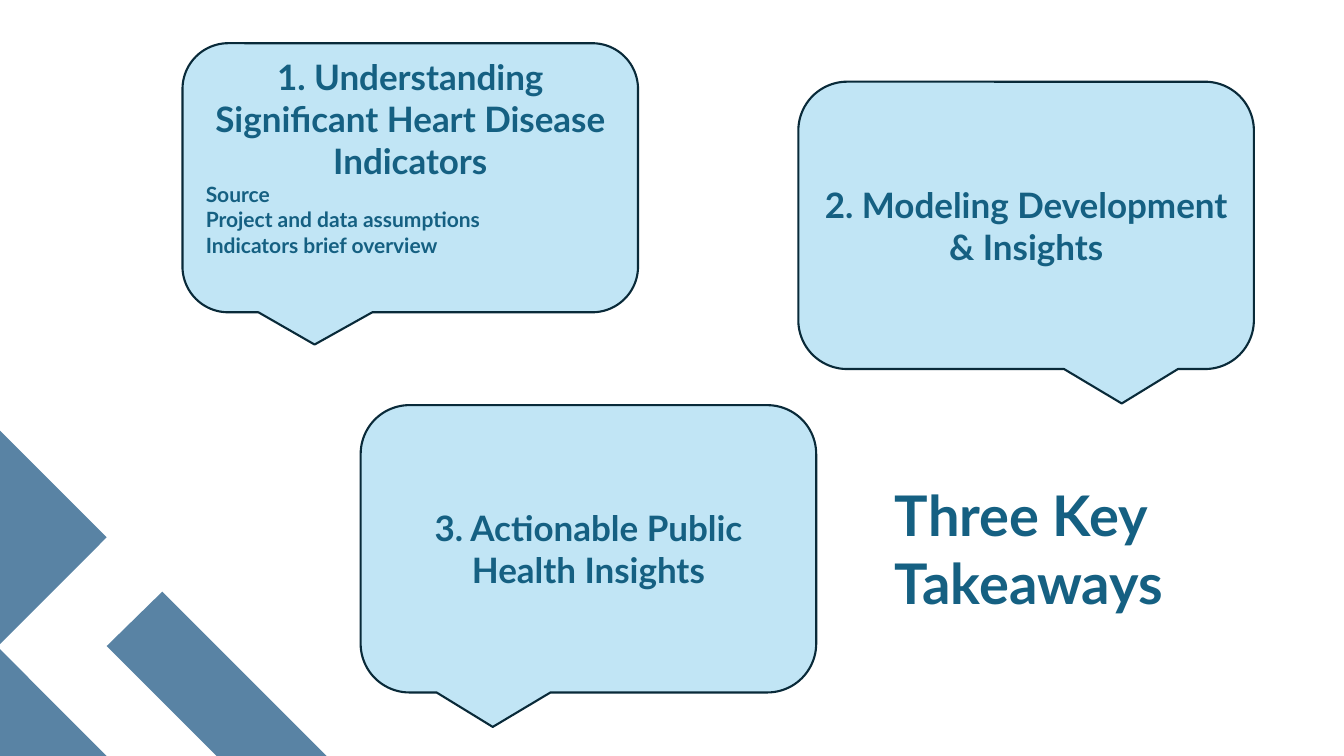
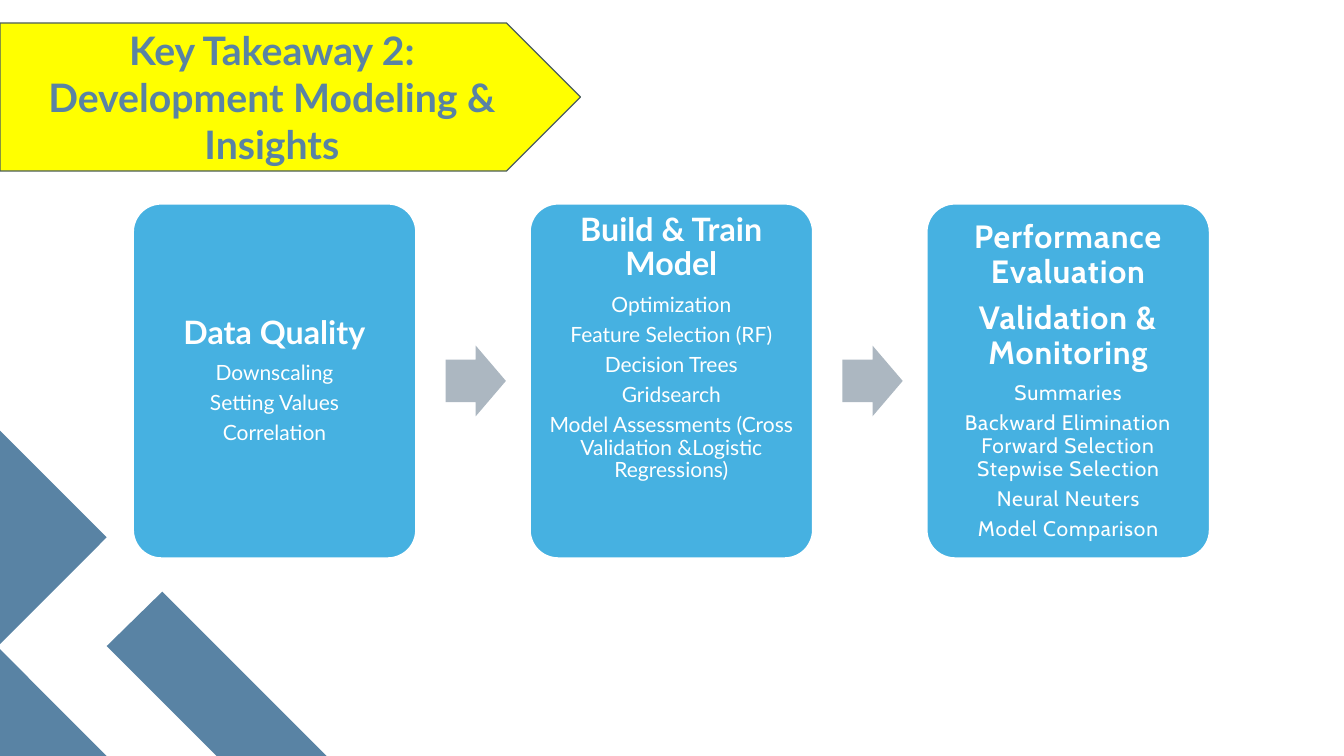
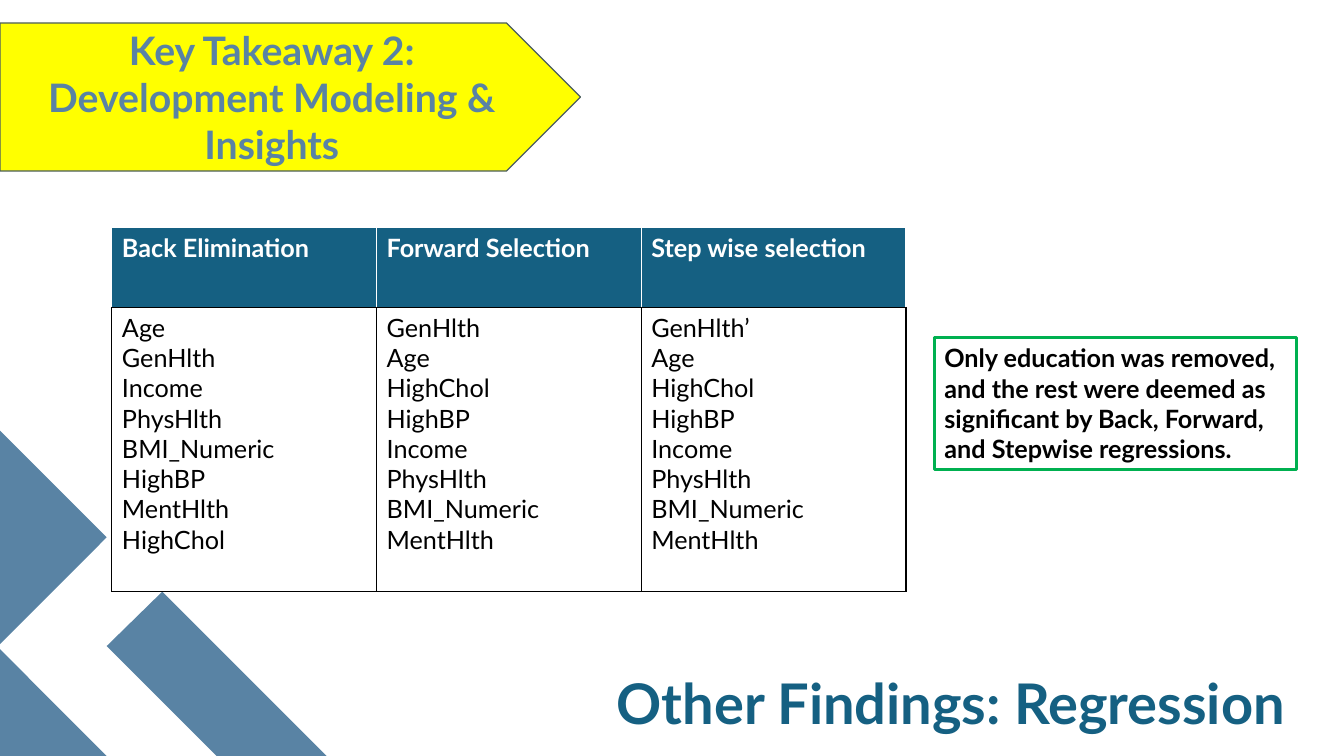
from dataclasses import dataclass

from lxml.etree import SubElement
from pptx import Presentation
from pptx.dml.color import RGBColor
from pptx.enum.shapes import MSO_SHAPE
from pptx.enum.text import MSO_ANCHOR, MSO_AUTO_SIZE, PP_ALIGN
from pptx.oxml.ns import qn
from pptx.util import Cm, Pt


@dataclass(frozen=True)
class Theme:
    font: str = "Lato"
    alternate_font: str = "Cabin"
    navy: str = "156082"
    navy_line: str = "092A39"
    pale_blue: str = "C1E5F5"
    sky: str = "46B1E1"
    steel: str = "5983A4"
    arrow_grey: str = "ACB7C1"
    yellow: str = "FFFF00"
    band_line: str = "4A5D60"
    green: str = "00B050"
    white: str = "FFFFFF"
    black: str = "000000"
    title_size: int = 40
    band_size: int = 28
    callout_size: int = 25
    card_size: int = 23
    table_size: int = 18
    list_size: int = 15


theme = Theme()


def write_text(frame, lines, color, align=PP_ALIGN.LEFT, anchor=MSO_ANCHOR.TOP,
               font=theme.font, tracking=0, card_spacing=False):
    """Fill a frame with (text, size, bold) paragraphs; tracking is in points."""
    frame.word_wrap = True
    frame.vertical_anchor = anchor
    for number, (text, size, bold) in enumerate(lines):
        para = frame.add_paragraph() if number else frame.paragraphs[0]
        para.text = text
        para.alignment = align
        if card_spacing:
            para.line_spacing = 0.9
            para.space_after = Pt(size * 0.35)
        for span in para.runs:
            for name, value in {"name": font, "size": Pt(size), "bold": bold}.items():
                setattr(span.font, name, value)
            span.font.color.rgb = RGBColor.from_string(color)
            if tracking:
                span.font._element.set("spc", str(int(tracking * 100)))


def add_block(page, kind, place, fill=None, line=None, line_width=1.5, adjustments=()):
    """Add a preset shape; place is left, top, width, height in centimetres."""
    box = page.shapes.add_shape(kind, *map(Cm, place))
    box.shadow.inherit = False
    for number, value in enumerate(adjustments):
        box.adjustments[number] = value
    if fill:
        box.fill.solid()
        box.fill.fore_color.rgb = RGBColor.from_string(fill)
    else:
        box.fill.background()
    if line:
        box.line.color.rgb = RGBColor.from_string(line)
        box.line.width = Pt(line_width)
    else:
        box.line.fill.background()
    return box


deck = Presentation()
deck.slide_width, deck.slide_height = Cm(33.87), Cm(19.05)
layout = deck.slide_layouts[5]
takeaways, modeling, regression = pages = [deck.slides.add_slide(layout) for _ in range(3)]

# Corner decoration, held by the layout that all slides use
corner_outlines = [
    [(8.23, 19.05), (5.46, 19.05), (2.69, 16.28), (4.09, 14.91)],
    [(0, 16.36), (2.69, 19.05), (0, 19.05)],
    [(0, 10.85), (2.69, 13.54), (0, 16.23)],
]
for number, outline in enumerate(corner_outlines):
    start, *others = [(Cm(x), Cm(y)) for x, y in outline]
    builder = takeaways.shapes.build_freeform(*start, scale=1.0)
    builder.add_line_segments(others, close=True)
    corner = builder.convert_to_shape()
    corner.shadow.inherit = False
    corner.fill.solid()
    corner.fill.fore_color.rgb = RGBColor.from_string(theme.steel)
    corner.line.fill.background()
    corner.element.nvSpPr.cNvPr.set("id", str(20 + number))
    layout.shapes.element.append(corner.element)

# Titles
title_places = [(22.3, 11.99, 9.3, 3.68), (0, 0.58, 13.7, 3.73), (15.29, 16.71, 18.16, 1.96)]
for page, place in zip(pages, title_places):
    title = page.shapes.title
    title.left, title.top, title.width, title.height = map(Cm, place)
    title.text_frame.auto_size = MSO_AUTO_SIZE.NONE
for page, text in [(takeaways, "Three Key Takeaways"), (regression, "Other Findings: Regression")]:
    write_text(page.shapes.title.text_frame, [(text, theme.title_size, True)], theme.navy)

# Yellow band: on the modeling slide it carries the title
for page in (modeling, regression):
    band = add_block(page, MSO_SHAPE.PENTAGON, (0, 0.58, 14.63, 3.73),
                     theme.yellow, theme.band_line, 1)
    page.shapes.element.insert(2, band.element)
    holder = page.shapes.title if page is modeling else band
    write_text(holder.text_frame,
               [("Key Takeaway 2: Development Modeling & Insights", theme.band_size, True)],
               theme.steel, PP_ALIGN.CENTER, MSO_ANCHOR.MIDDLE)

# Slide 1: callouts
callouts = [
    ("1. Understanding Significant Heart Disease Indicators", 4.6, 1.09, 6.78, -0.21,
     ["Source", "Project and data assumptions", "Indicators brief overview"]),
    ("2. Modeling Development & Insights", 20.12, 2.06, 7.24, 0.21, []),
    ("3. Actionable Public Health Insights", 9.09, 10.21, 7.24, -0.21, []),
]
for heading, left, top, height, tip, details in callouts:
    callout = add_block(takeaways, MSO_SHAPE.ROUNDED_RECTANGULAR_CALLOUT,
                        (left, top, 11.48, height), theme.pale_blue, theme.navy_line,
                        adjustments=(tip, 0.62, 0.17))
    frame = callout.text_frame
    write_text(frame, [(heading, theme.callout_size, True)]
               + [(detail, theme.list_size, True) for detail in details],
               theme.navy, anchor=MSO_ANCHOR.MIDDLE)
    frame.paragraphs[0].alignment = PP_ALIGN.CENTER
    if details:
        frame.margin_bottom = Cm(1.19)

# Slide 2: process cards joined by block arrows
card_left, card_top, card_width, card_height, card_pitch = 3.35, 5.13, 7.14, 8.94, 10
arrow_width, arrow_height, arrow_gap = 1.52, 1.78, 0.74
cards = [
    (["Data Quality"], ["Downscaling", "Setting Values", "Correlation"],
     theme.font, 0, 0.25),
    (["Build & Train Model"],
     ["Optimization", "Feature Selection (RF)", "Decision Trees", "Gridsearch",
      "Model Assessments (Cross Validation &Logistic Regressions)"],
     theme.font, 0, 1.92),
    (["Performance Evaluation", "Validation & Monitoring"],
     ["Summaries", "Backward Elimination\vForward Selection\vStepwise Selection",
      "Neural Neuters", "Model Comparison"],
     theme.alternate_font, 0.6, 0.25),
]
for number, (headings, steps, font, tracking, bottom) in enumerate(cards):
    left = card_left + number * card_pitch
    card = add_block(modeling, MSO_SHAPE.ROUNDED_RECTANGLE,
                     (left, card_top, card_width, card_height),
                     theme.sky, theme.white, adjustments=(0.1,))
    frame = card.text_frame
    frame.margin_left = frame.margin_top = frame.margin_right = Cm(0.25)
    frame.margin_bottom = Cm(bottom)
    write_text(frame, [(heading, theme.card_size, True) for heading in headings]
               + [(step, theme.list_size, False) for step in steps],
               theme.white, PP_ALIGN.CENTER, MSO_ANCHOR.MIDDLE, font, tracking, True)
    if number:
        arrow_left = left - card_pitch + card_width + arrow_gap
        arrow_top = card_top + (card_height - arrow_height) / 2
        add_block(modeling, MSO_SHAPE.RIGHT_ARROW,
                  (arrow_left, arrow_top, arrow_width, arrow_height),
                  theme.arrow_grey, adjustments=(0.6, 0.5))

# Slide 3: variables kept by each selection method
selections = {
    "Back Elimination": ["Age", "GenHlth", "Income", "PhysHlth", "BMI_Numeric",
                         "HighBP", "MentHlth", "HighChol"],
    "Forward Selection": ["GenHlth", "Age", "HighChol", "HighBP", "Income",
                          "PhysHlth", "BMI_Numeric", "MentHlth"],
    "Step wise selection": ["GenHlth’", "Age", "HighChol", "HighBP", "Income",
                            "PhysHlth", "BMI_Numeric", "MentHlth"],
}
table = regression.shapes.add_table(2, 3, Cm(2.82), Cm(5.74), Cm(20.01), Cm(9.17)).table
table.horz_banding = False
table.rows[0].height, table.rows[1].height = Cm(2.01), Cm(7.16)
for column, (method, variables) in enumerate(selections.items()):
    table.columns[column].width = Cm(6.67)
    rows = [
        ([(method, theme.table_size, True)], theme.white, theme.navy, theme.white),
        ([(name, theme.table_size, False) for name in variables],
         theme.black, theme.white, theme.black),
    ]
    for row, (lines, color, fill, border) in enumerate(rows):
        cell = table.cell(row, column)
        write_text(cell.text_frame, lines, color)
        cell.vertical_anchor = MSO_ANCHOR.TOP
        properties = cell._tc.get_or_add_tcPr()
        for side in ("lnL", "lnR", "lnT", "lnB"):
            edge = SubElement(properties, qn(f"a:{side}"), w=str(Pt(1)))
            paint = SubElement(edge, qn("a:solidFill"))
            SubElement(paint, qn("a:srgbClr"), val=theme.black if side == "lnB" else border)
        cell.fill.solid()
        cell.fill.fore_color.rgb = RGBColor.from_string(fill)

note = add_block(regression, MSO_SHAPE.RECTANGLE, (23.55, 8.51, 9.12, 3.33),
                 line=theme.green, line_width=2.25)
write_text(note.text_frame,
           [("Only education was removed, and the rest were deemed as significant "
             "by Back, Forward, and Stepwise regressions.", theme.table_size, True)],
           theme.black)

deck.save("out.pptx")
